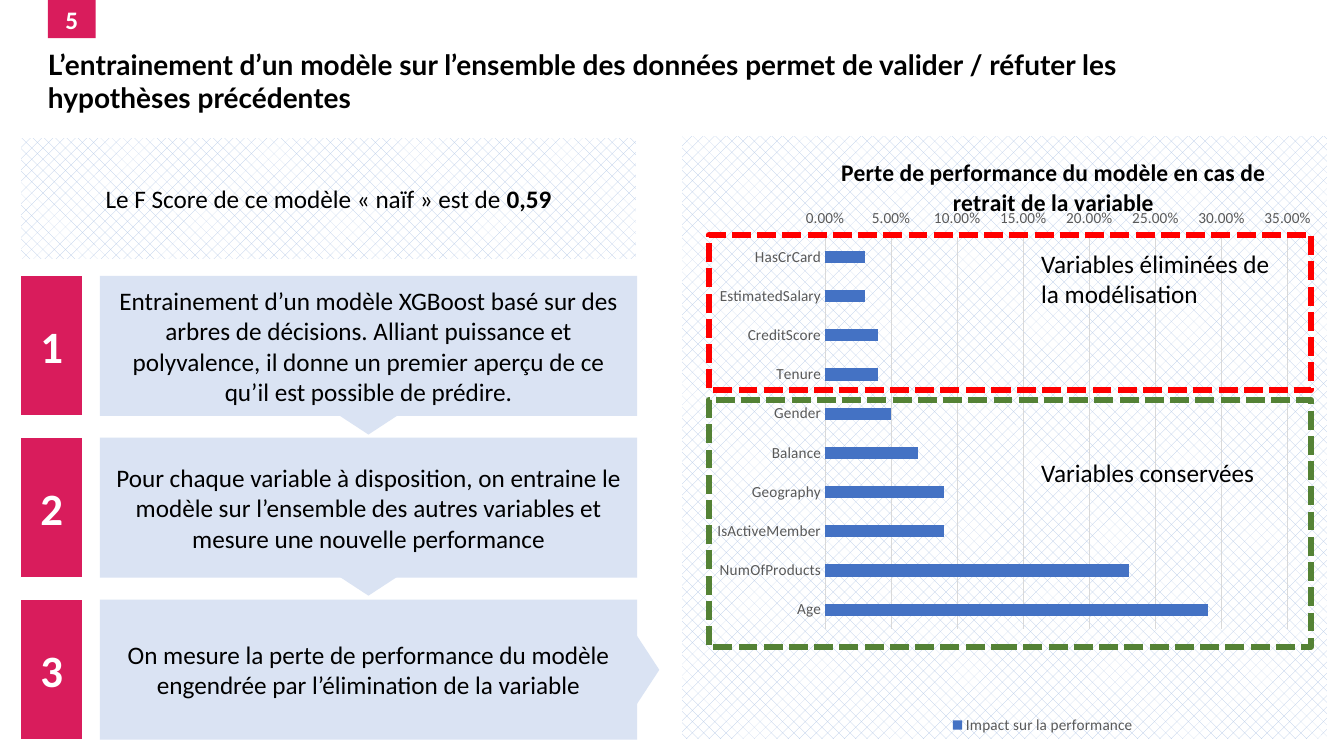
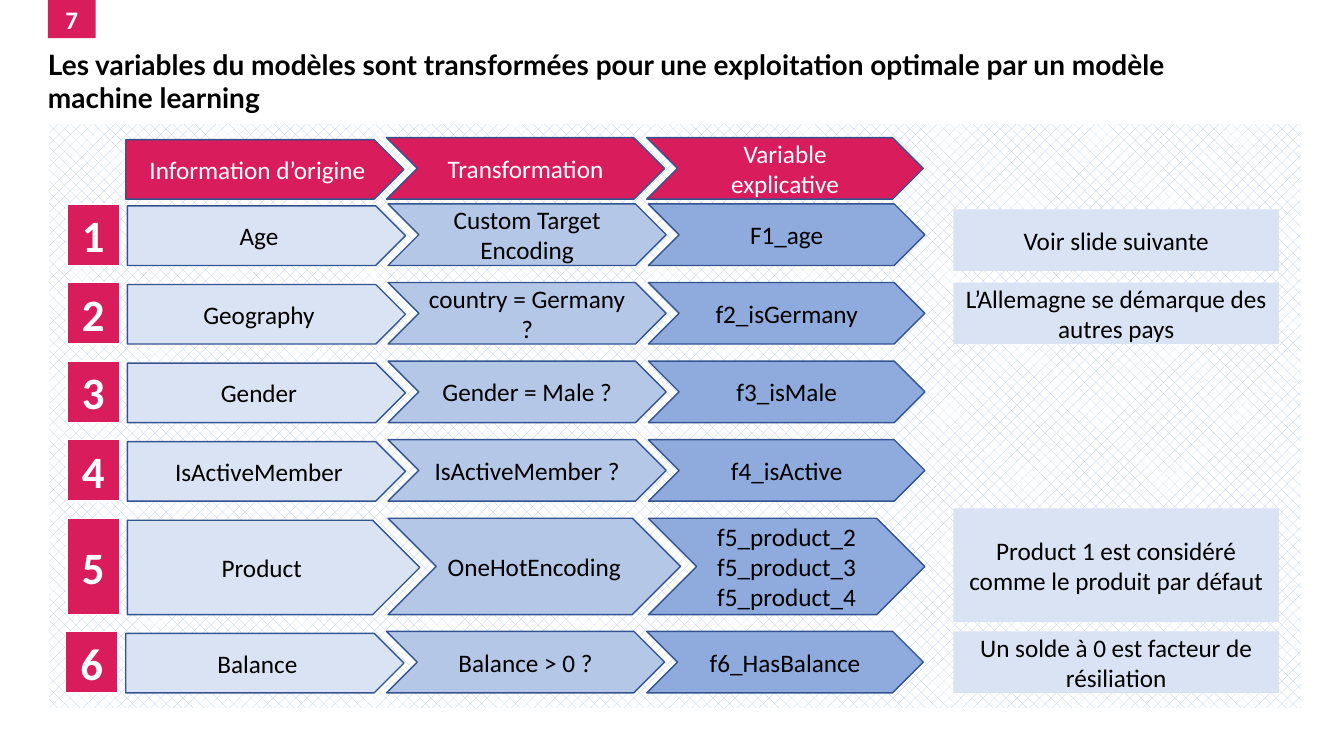
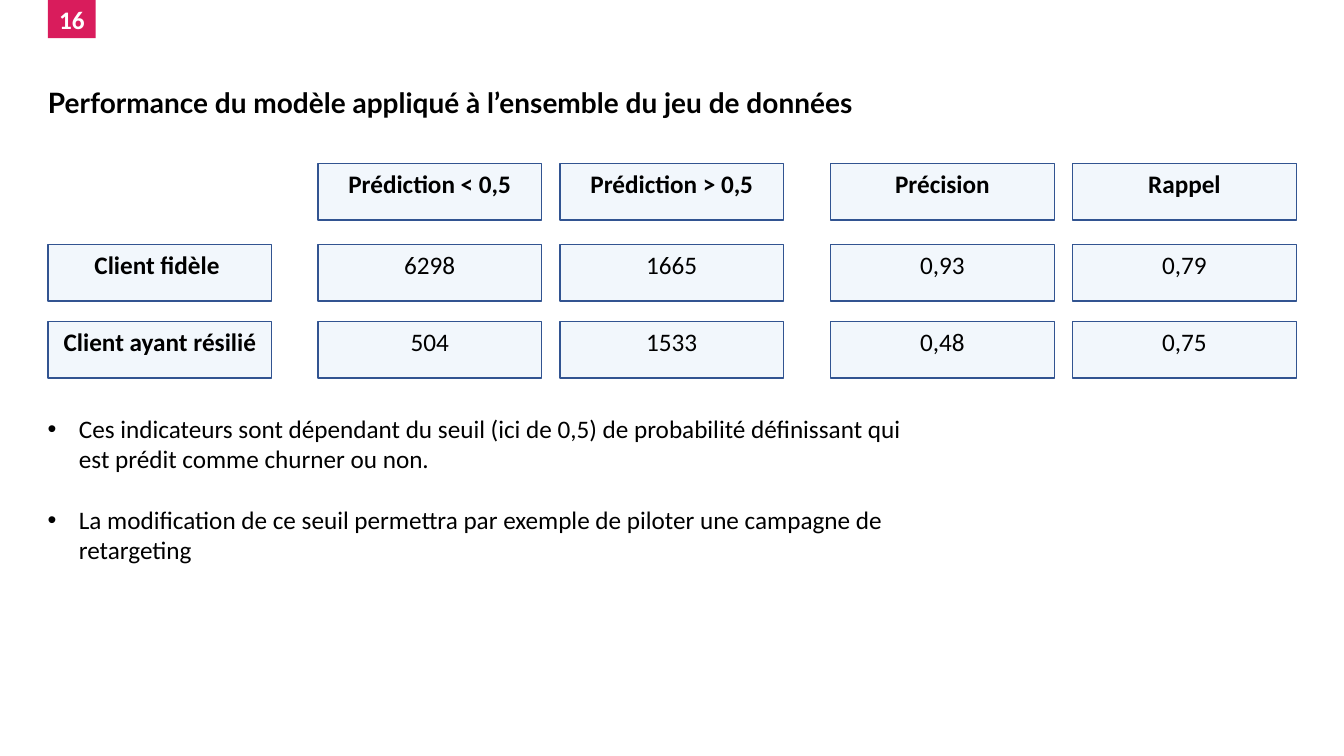
from dataclasses import dataclass

from lxml import etree
from pptx import Presentation
from pptx.chart.data import CategoryChartData
from pptx.dml.color import RGBColor
from pptx.enum.chart import XL_CHART_TYPE, XL_LEGEND_POSITION, XL_TICK_LABEL_POSITION, XL_TICK_MARK
from pptx.enum.dml import MSO_LINE, MSO_PATTERN
from pptx.enum.shapes import MSO_SHAPE
from pptx.enum.text import MSO_ANCHOR, PP_ALIGN
from pptx.oxml.ns import qn
from pptx.util import Cm, Pt

RECT = MSO_SHAPE.RECTANGLE
TRIANGLE = MSO_SHAPE.ISOSCELES_TRIANGLE
PLATE = MSO_SHAPE.PENTAGON
CHEVRON = MSO_SHAPE.CHEVRON
HATCH = MSO_PATTERN.PERCENT_25
DASH = MSO_LINE.SQUARE_DOT
TOP, MIDDLE, BOTTOM = MSO_ANCHOR.TOP, MSO_ANCHOR.MIDDLE, MSO_ANCHOR.BOTTOM
LEFT, CENTER = PP_ALIGN.LEFT, PP_ALIGN.CENTER
BAR = XL_CHART_TYPE.BAR_CLUSTERED
NO_TICK = XL_TICK_MARK.NONE
HIGH = XL_TICK_LABEL_POSITION.HIGH
BELOW = XL_LEGEND_POSITION.BOTTOM

BODY, HEAD = "Calibri", "Lato"
WHITE, BLACK, GREY, RULE = "FFFFFF", "000000", "595959", "D9D9D9"
PINK, PALE, SOFT, MID = "D91C5C", "DAE3F3", "B4C7E7", "8FAADC"
ICE, NAVY, BLUE = "F2F7FC", "325491", "4472C4"
RED, GREEN = "FF0000", "548235"
EDGE = 1.21


@dataclass(frozen=True)
class Area:
    x: float
    y: float
    w: float
    h: float

    def place(self) -> tuple:
        return Cm(self.x), Cm(self.y), Cm(self.w), Cm(self.h)


@dataclass(frozen=True)
class Style:
    size: int = 18
    color: str = BLACK
    bold: bool = False
    font: str = BODY
    align: PP_ALIGN = CENTER
    anchor: MSO_ANCHOR = MIDDLE
    inset: bool = True


@dataclass(frozen=True)
class Row:
    cells: tuple
    y: float
    h: float = 1.55
    wide: float = 7.01
    shift: float = 0


PLAIN = Style()
NOTE = Style(align=LEFT, anchor=TOP)
DIGIT = Style(32, WHITE, True)
TAB = Style(18, WHITE, True, inset=False)
TITLE = Style(20, BLACK, True, HEAD, LEFT, BOTTOM, False)
CELL = Style(anchor=TOP)
LABEL = Style(bold=True, anchor=TOP)


def rgb(code: str) -> RGBColor:
    return RGBColor.from_string(code)


def set_font(font, size: int, color: str, bold: bool = False, face: str = BODY) -> None:
    font.size, font.bold, font.name = Pt(size), bold, face
    font.color.rgb = rgb(color)


def write(shape, text: str, style: Style, strong: str = "") -> None:
    frame = shape.text_frame
    frame.text = text
    frame.word_wrap = True
    frame.vertical_anchor = style.anchor
    if not style.inset:
        frame.margin_left = frame.margin_right = frame.margin_top = frame.margin_bottom = 0
    for para in frame.paragraphs:
        para.alignment = style.align
        for run in para.runs:
            set_font(run.font, style.size, style.color, style.bold, style.font)
    if strong:
        run = frame.paragraphs[-1].add_run()
        run.text = strong
        set_font(run.font, style.size, style.color, True, style.font)


def add_text(slide, area: Area, text: str, style: Style):
    shape = slide.shapes.add_textbox(*area.place())
    write(shape, text, style)
    return shape


def add_box(slide, area: Area, fill: str = "", line: str = "", width: float = 1, kind: MSO_SHAPE = RECT,
            text: str = "", style: Style = PLAIN, strong: str = ""):
    shape = slide.shapes.add_shape(kind, *area.place())
    shape.shadow.inherit = False
    if fill:
        shape.fill.solid()
        shape.fill.fore_color.rgb = rgb(fill)
    else:
        shape.fill.background()
    if line:
        shape.line.color.rgb = rgb(line)
        shape.line.width = Pt(width)
    else:
        shape.line.fill.background()
    if text:
        write(shape, text, style, strong)
    return shape


def add_panel(slide, area: Area, text: str = "", strong: str = "") -> None:
    fill = add_box(slide, area, line=WHITE, text=text, strong=strong).fill
    fill.patterned()
    fill.pattern = HATCH
    fill.fore_color.rgb = rgb(SOFT)
    fill.back_color.rgb = rgb(WHITE)


def add_digit(slide, area: Area, num: int) -> None:
    add_box(slide, area, PINK, WHITE, text=str(num), style=DIGIT)


def add_slide(deck, page: int, title: str, base: float = 2.88):
    slide = deck.slides.add_slide(deck.slide_layouts[6])
    add_box(slide, Area(EDGE, 0, 1.2, 0.96), PINK, text=str(page), style=TAB)
    add_text(slide, Area(EDGE, base - 1.7, 30.33, 1.7), title, TITLE)
    return slide


def set_layout(part, index: int, **vals) -> None:
    for old in part.findall(qn("c:layout")):
        part.remove(old)
    layout = etree.Element(qn("c:layout"))
    manual = etree.SubElement(layout, qn("c:manualLayout"))
    for tag, val in vals.items():
        etree.SubElement(manual, qn(f"c:{tag}")).set("val", str(val))
    part.insert(index, layout)


def add_graph(slide, area: Area, title: str, name: str, data: dict) -> None:
    source = CategoryChartData(number_format="0.00%")
    source.categories = list(data)
    source.add_series(name, list(data.values()))
    chart = slide.shapes.add_chart(BAR, *area.place(), source).chart
    set_font(chart.font, 10, BLACK)
    chart.has_title = True
    head = chart.chart_title.text_frame
    head.text = title
    set_font(head.paragraphs[0].runs[0].font, 17, BLACK, True)
    chart.has_legend = True
    chart.legend.position = BELOW
    chart.legend.include_in_layout = False
    set_font(chart.legend.font, 11, GREY)

    plot = chart.plots[0]
    plot.gap_width = 219
    plot.vary_by_categories = False
    bars = plot.series[0].format.fill
    bars.solid()
    bars.fore_color.rgb = rgb(BLUE)

    cats, vals = chart.category_axis, chart.value_axis
    for axis in (cats, vals):
        axis.major_tick_mark = axis.minor_tick_mark = NO_TICK
        set_font(axis.tick_labels.font, 11, GREY)
    cats.format.line.color.rgb = rgb(RULE)
    vals.format.line.fill.background()
    vals.major_gridlines.format.line.color.rgb = rgb(RULE)
    vals.tick_label_position = HIGH
    vals.minimum_scale, vals.maximum_scale, vals.major_unit = 0, 0.35, 0.05
    vals.tick_labels.number_format = "0.00%"
    vals.tick_labels.number_format_is_linked = False

    root = chart._chartSpace.chart
    set_layout(root.plotArea, 0, layoutTarget="inner", xMode="edge", yMode="edge",
               x=0.17, y=0.18, w=0.79, h=0.64)
    set_layout(root.find(qn("c:title")), 1, xMode="edge", yMode="edge", x=0.19, y=0.04)
    set_layout(root.find(qn("c:legend")), 1, xMode="edge", yMode="edge", x=0.38, y=0.96)


def add_bullet(para, gap: float) -> None:
    props = para._p.get_or_add_pPr()
    props.set("marL", str(Cm(0.79)))
    props.set("indent", str(-Cm(0.79)))
    para.space_after = Pt(gap)
    etree.SubElement(props, qn("a:buFont")).set("typeface", "Arial")
    etree.SubElement(props, qn("a:buChar")).set("char", "•")


def build_test(deck) -> None:
    slide = add_slide(deck, 5, "L’entrainement d’un modèle sur l’ensemble des données permet de "
                               "valider / réfuter les hypothèses précédentes")
    add_panel(slide, Area(17.17, 3.42, 16.28, 15.21))
    add_graph(slide, Area(18.08, 3.2, 14.96, 15.44),
              "Perte de performance du modèle en cas de retrait de la variable",
              "Impact sur la performance",
              {"Age": 0.29, "NumOfProducts": 0.23, "IsActiveMember": 0.09, "Geography": 0.09,
               "Balance": 0.07, "Gender": 0.05, "Tenure": 0.04, "CreditScore": 0.04,
               "EstimatedSalary": 0.03, "HasCrCard": 0.03})
    for color, y, h, top, text in ((GREEN, 10.08, 6.22, 11.4, "Variables conservées"),
                                   (RED, 5.92, 3.91, 6.13, "Variables éliminées de la modélisation")):
        add_box(slide, Area(17.86, y, 15.18, h), line=color, width=4.5).line.dash_style = DASH
        add_text(slide, Area(25.99, top, 6.5, 1.8), text, NOTE)

    for x, y, turn in ((7.85, 10.01, 180), (7.85, 14.07, 180), (14.71, 16.41, 90)):
        add_box(slide, Area(x, y, 2.87, 0.94), PALE, kind=TRIANGLE).rotation = turn
    steps = (
        "Entrainement d’un modèle XGBoost basé sur des arbres de décisions. Alliant puissance et "
        "polyvalence, il donne un premier aperçu de ce qu’il est possible de prédire.",
        "Pour chaque variable à disposition, on entraine le modèle sur l’ensemble des autres "
        "variables et mesure une nouvelle performance",
        "On mesure la perte de performance du modèle engendrée par l’élimination de la variable",
    )
    for num, text in enumerate(steps):
        y = 6.95 + num * 4.08
        add_box(slide, Area(2.52, y, 13.54, 3.53), PALE, text=text)
        add_digit(slide, Area(0.52, y, 1.57, 3.53), num + 1)
    add_panel(slide, Area(0.52, 3.45, 15.52, 3.1), "Le F Score de ce modèle « naïf » est de ", "0,59")


def add_flow(slide, row: Row, fills: tuple, color: str) -> None:
    places = (Area(3.21 + row.shift, row.y + 0.05, row.wide, row.h - 0.05),
              Area(9.78 + row.shift, row.y, row.wide, row.h),
              Area(16.34 + row.shift, row.y, 6.97, row.h))
    for area, kind, fill, text in zip(places, (PLATE, CHEVRON, CHEVRON), fills, row.cells):
        add_box(slide, area, fill, NAVY, kind=kind, text=text, style=Style(color=color))


def build_flow(deck) -> None:
    slide = add_slide(deck, 7, "Les variables du modèles sont transformées pour une exploitation "
                               "optimale par un modèle machine learning")
    add_panel(slide, Area(EDGE, 3.11, 31.6, 14.76))
    head = Row(("Information d’origine", "Transformation", "Variable explicative"), 3.47, shift=-0.04)
    add_flow(slide, head, (PINK,) * 3, WHITE)
    simple = (("Age", "Custom Target Encoding", "F1_age"),
              ("Geography", "country = Germany ?", "f2_isGermany"),
              ("Gender", "Gender = Male ?", "f3_isMale"),
              ("IsActiveMember", "IsActiveMember ?", "f4_isActive"))
    rows = [Row(cells, 5.14 + num * 1.98) for num, cells in enumerate(simple)]
    rows.append(Row(("Product", "OneHotEncoding", "f5_product_2 f5_product_3\nf5_product_4"),
                    13.06, 2.43, 7.37))
    rows.append(Row(("Balance", "Balance > 0 ?", "f6_HasBalance"), 15.91, shift=-0.04))
    for num, row in enumerate(rows, 1):
        add_digit(slide, Area(1.69 + row.shift, row.y, 1.32, row.h), num)
        add_flow(slide, row, (PALE, SOFT, MID), BLACK)
    for y, h, text in ((5.28, 1.55, "Voir slide suivante"),
                       (7.12, 1.55, "L’Allemagne se démarque des autres pays"),
                       (12.81, 2.87, "Product 1 est considéré comme le produit par défaut"),
                       (15.91, 1.55, "Un solde à 0 est facteur de résiliation")):
        add_box(slide, Area(24.03, y, 8.2, h), PALE, text=text)


def build_score(deck) -> None:
    slide = add_slide(deck, 16, "Performance du modèle appliqué à l’ensemble du jeu de données", 3)
    grid = (("", "Prédiction < 0,5", "Prédiction > 0,5", "Précision", "Rappel"),
            ("Client fidèle ", "6298", "1665", "0,93", "0,79"),
            ("Client ayant résilié", "504", "1533", "0,48", "0,75"))
    for y, row in zip((4.12, 6.16, 8.1), grid):
        for col, (x, text) in enumerate(zip((EDGE, 8.01, 14.11, 20.93, 27.03), row)):
            if text:
                style = LABEL if col == 0 or row is grid[0] else CELL
                add_box(slide, Area(x, y, 5.64, 1.43), ICE, NAVY, text=text, style=style)
    points = ("Ces indicateurs sont dépendant du seuil (ici de 0,5) de probabilité définissant qui est "
              "prédit comme churner ou non.",
              "La modification de ce seuil permettra par exemple de piloter une campagne de retargeting")
    body = add_text(slide, Area(0.95, 10.29, 22.05, 4.11), "\n".join(points), NOTE)
    for para, gap in zip(body.text_frame.paragraphs, (22, 0)):
        add_bullet(para, gap)


def main() -> None:
    deck = Presentation()
    deck.slide_width, deck.slide_height = Cm(33.87), Cm(19.05)
    for build in (build_test, build_flow, build_score):
        build(deck)
    deck.save("out.pptx")


if __name__ == "__main__":
    main()
